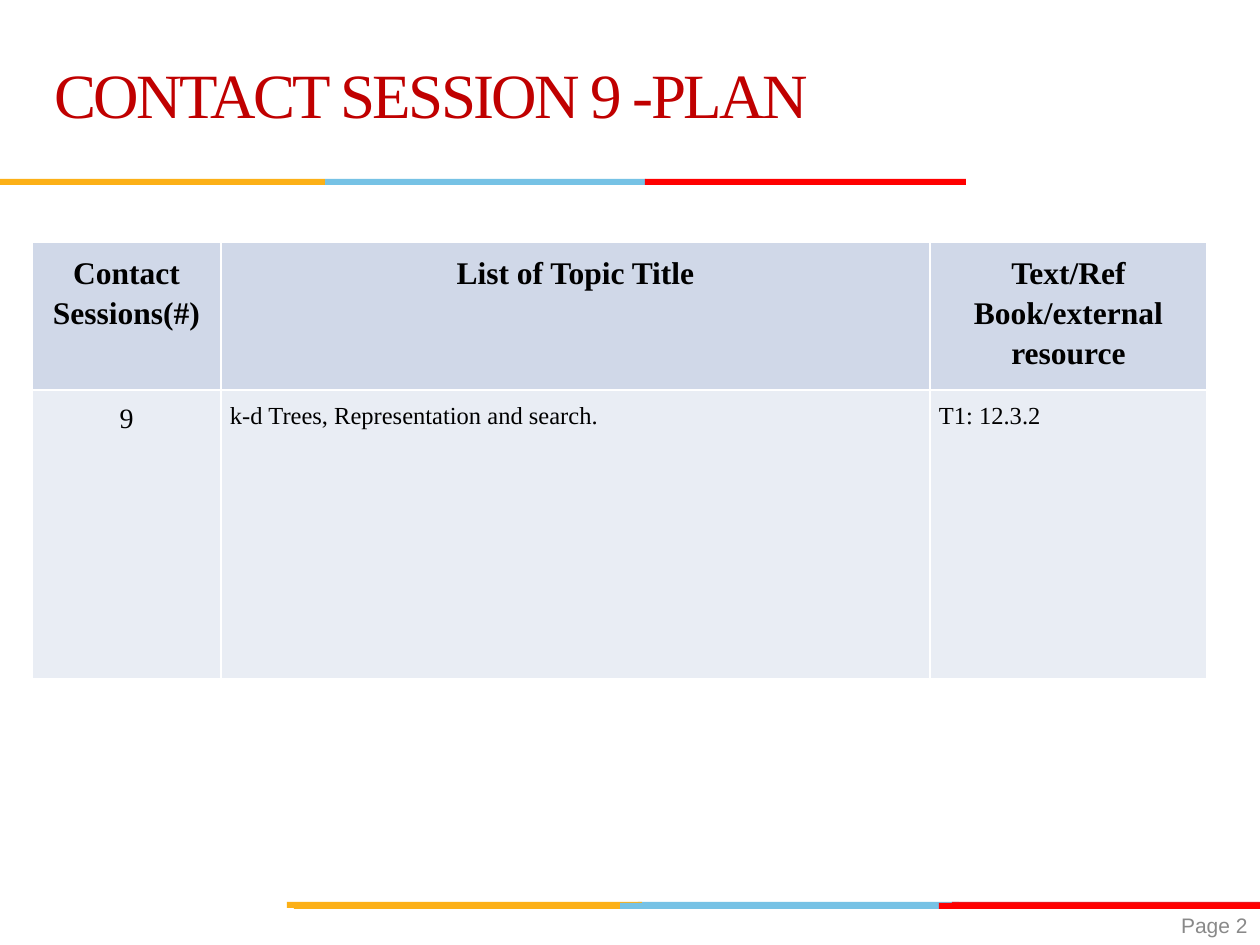
from lxml.etree import SubElement
from pptx import Presentation
from pptx.dml.color import RGBColor
from pptx.enum.shapes import MSO_SHAPE
from pptx.enum.text import MSO_ANCHOR, PP_ALIGN
from pptx.oxml.ns import qn
from pptx.util import Pt

PX = 914400 / 126


def px(*lengths):
    return [round(length * PX) for length in lengths]


def style(paragraph, size, color, font="Times New Roman", bold=False):
    for run in paragraph.runs:
        run.font.name = font
        run.font.size = Pt(size)
        run.font.bold = bold
        run.font.color.rgb = RGBColor.from_string(color)


presentation = Presentation()
presentation.slide_width, presentation.slide_height = px(1260, 945)
slide = presentation.slides.add_slide(presentation.slide_layouts[5])

bars = [
    (638, 902, 321, "76C2E5"),
    (952, 902, 308, "E31C24"),
    (287, 902, 355, "FCB017"),
    (620, 903, 321, "76C2E5"),
    (294, 903, 326, "FCB017"),
    (939, 903, 321, "FF0000"),
    (325, 179, 321, "76C2E5"),
    (0, 179, 325, "FCB017"),
    (645, 179, 321, "FF0000"),
]
for left, top, width, color in bars:
    bar = slide.shapes.add_shape(MSO_SHAPE.RECTANGLE, *px(left, top, width, 6))
    bar.shadow.inherit = False
    bar.fill.solid()
    bar.fill.fore_color.rgb = RGBColor.from_string(color)
    bar.line.fill.background()

title = slide.shapes.title
title.left, title.top, title.width, title.height = px(42, 21, 872, 158)
title.text_frame.text = "CONTACT SESSION 9 -PLAN"
title.text_frame.vertical_anchor = MSO_ANCHOR.MIDDLE
paragraph = title.text_frame.paragraphs[0]
paragraph.alignment = PP_ALIGN.LEFT
paragraph.line_spacing = Pt(36)
style(paragraph, 36, "C00000")
paragraph.runs[0].font._element.set("spc", "-150")

column_widths = px(189, 709, 277)
row_heights = px(148, 289)
rows = [
    ["Contact Sessions(#)", "List of Topic Title", "Text/Ref Book/external resource"],
    ["9", "k-d Trees, Representation and search.", "T1: 12.3.2"],
]
row_fills = ["D0D8E8", "E9EDF4"]
alignments = [
    [PP_ALIGN.CENTER] * 3,
    [PP_ALIGN.CENTER, PP_ALIGN.JUSTIFY, PP_ALIGN.LEFT],
]
sizes = [[18, 18, 18], [16, 14, 14]]

table = slide.shapes.add_table(2, 3, *px(32, 242, 1175, 437)).table
for column, width in zip(table.columns, column_widths):
    column.width = width
for r, row in enumerate(rows):
    table.rows[r].height = row_heights[r]
    for c, text in enumerate(row):
        cell = table.cell(r, c)
        cell.margin_left, cell.margin_right, cell.margin_top, cell.margin_bottom = px(9, 9, 9, 9)
        cell.vertical_anchor = MSO_ANCHOR.TOP
        for side in ("a:lnL", "a:lnR", "a:lnT", "a:lnB"):
            border = SubElement(cell._tc.get_or_add_tcPr(), qn(side), w="12700")
            SubElement(SubElement(border, qn("a:solidFill")), qn("a:srgbClr"), val="FFFFFF")
        cell.fill.solid()
        cell.fill.fore_color.rgb = RGBColor.from_string(row_fills[r])
        cell.text_frame.text = text
        paragraph = cell.text_frame.paragraphs[0]
        paragraph.alignment = alignments[r][c]
        paragraph.line_spacing = 1.15
        paragraph.space_after = Pt(10 * r)
        style(paragraph, sizes[r][c], "000000", bold=r == 0)

page_box = slide.shapes.add_textbox(*px(966, 905, 294, 40))
page_box.text_frame.word_wrap = True
page_box.text_frame.vertical_anchor = MSO_ANCHOR.MIDDLE
page_box.text_frame.text = "Page 2"
paragraph = page_box.text_frame.paragraphs[0]
paragraph.alignment = PP_ALIGN.RIGHT
style(paragraph, 12, "898989", font="Arial")

presentation.save("out.pptx")
